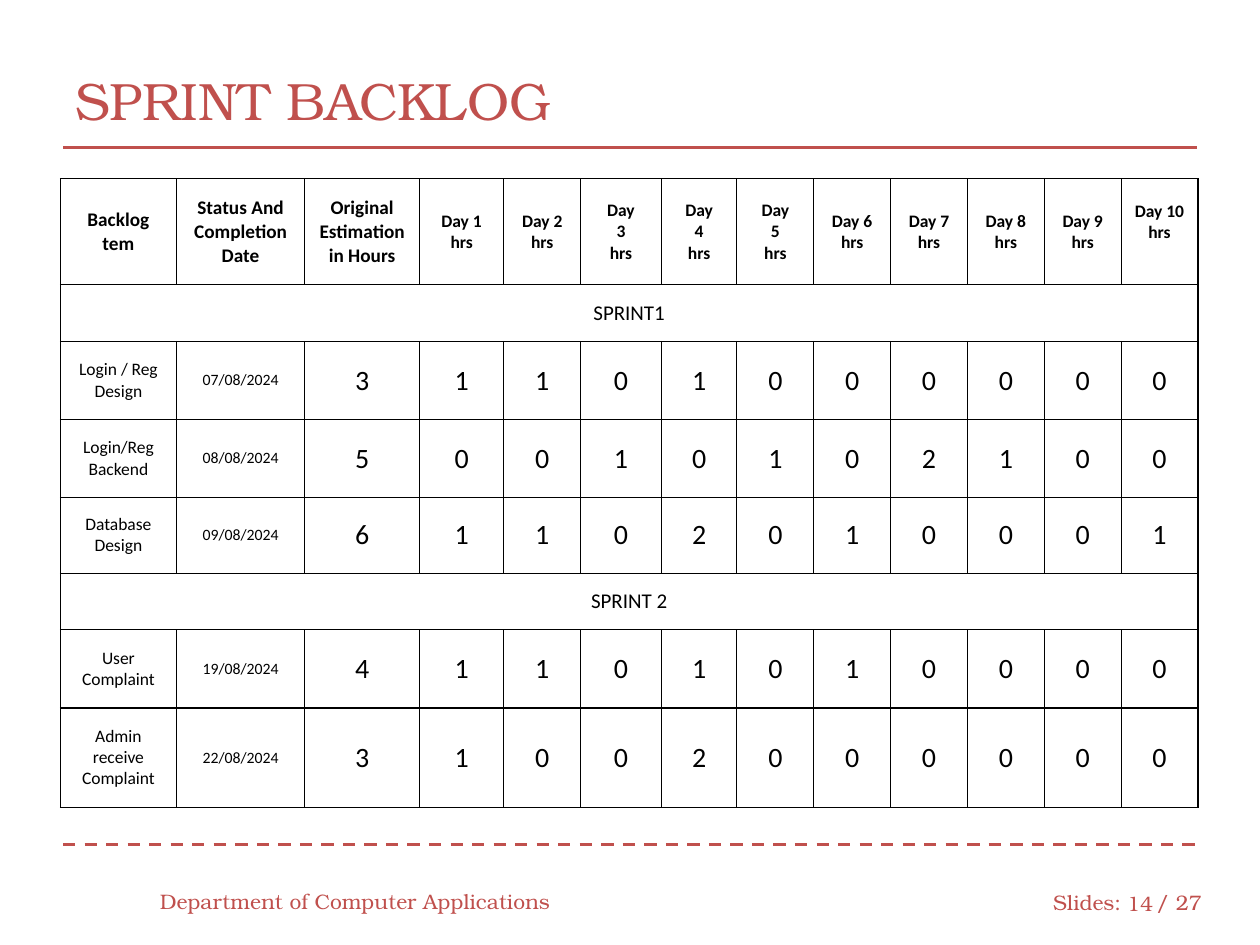
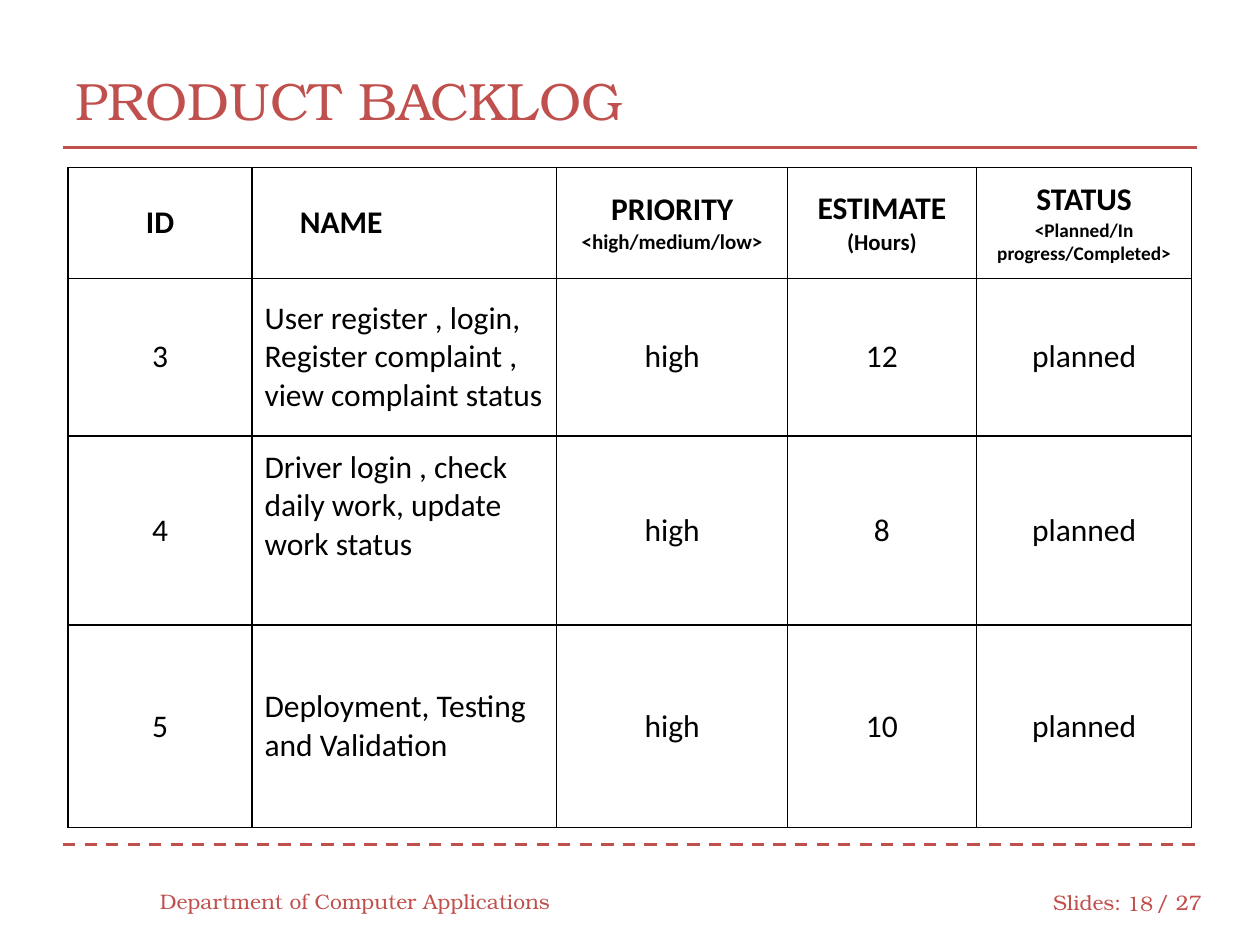
import pptx
import pptx.util
import pptx.dml.color
import pptx.enum.dml
import pptx.enum.shapes
import pptx.enum.text
import pptx.oxml
import pptx.oxml.ns
from pptx.util import Inches

COLORS = {"accent": "C0504D", "ink": "000000", "paper": "FFFFFF"}
SERIF = "TeX Gyre Bonum"
SANS = "Calibri"
ALIGN = pptx.enum.text.PP_ALIGN
ANCHOR = pptx.enum.text.MSO_ANCHOR
PAGES = 27

DAYS = [["Day 1", "hrs"], ["Day 2", "hrs"], ["Day", "3", "hrs"],
        ["Day", "4", "hrs"], ["Day", "5", "hrs"]]
DAYS += [[f"Day {day}", "hrs"] for day in range(6, 11)]
HEADS = ["Backlog tem", "Status And Completion Date", "Original Estimation in Hours"]
SPRINTS = [
    ("SPRINT1", [
        ("Login / Reg Design", "07/08/2024", 3, "1101000000"),
        ("Login/Reg\nBackend", "08/08/2024", 5, "0010102100"),
        ("Database Design", "09/08/2024", 6, "1102010001"),
    ]),
    ("SPRINT 2", [
        ("User\nComplaint", "19/08/2024", 4, "1101010000"),
        ("Admin\nreceive\nComplaint", "22/08/2024", 3, "1002000000"),
    ]),
]
FIELDS = [
    [("ID", 18)],
    [("NAME", 18)],
    [("PRIORITY", 18), ("<high/medium/low>", 12)],
    [("ESTIMATE", 18), ("(Hours)", 13)],
    [("STATUS", 18), ("<Planned/In progress/Completed>", 11)],
]
ITEMS = [
    ("3", "User register , login, Register complaint , view complaint status", "high", "12", "planned"),
    ("4", "Driver login , check daily work, update work status", "high", "8", "planned"),
    ("5", "Deployment, Testing and Validation", "high", "10", "planned"),
]


def color(name):
    return pptx.dml.color.RGBColor.from_string(COLORS[name])


def add_text(para, text, size, font, tint, bold=False):
    for index, line in enumerate(text.split("\n")):
        if index:
            para.add_line_break()
        run = para.add_run()
        run.text = line
        run.font.name = font
        run.font.size = pptx.util.Pt(size)
        run.font.bold = bold
        run.font.color.rgb = color(tint)


def add_label(slide, text, left, top, width, height, size=12, align=ALIGN.LEFT):
    box = slide.shapes.add_textbox(Inches(left), Inches(top), Inches(width), Inches(height))
    frame = box.text_frame
    frame.word_wrap = True
    frame.vertical_anchor = ANCHOR.MIDDLE
    frame.paragraphs[0].alignment = align
    add_text(frame.paragraphs[0], text, size, SERIF, "accent")


def add_rule(slide, top, dash=False):
    rule = slide.shapes.add_connector(
        pptx.enum.shapes.MSO_CONNECTOR.STRAIGHT,
        Inches(0.5), Inches(top), Inches(9.5), Inches(top))
    rule.line.color.rgb = color("accent")
    rule.line.width = pptx.util.Pt(1.75)
    if dash:
        rule.line.dash_style = pptx.enum.dml.MSO_LINE.DASH
    props = rule._element.spPr
    props.append(pptx.oxml.parse_xml(f"<a:effectLst {pptx.oxml.ns.nsdecls('a')}/>"))


def add_frame(deck, title, page):
    slide = deck.slides.add_slide(deck.slide_layouts[6])
    add_label(slide, "Slides:", 8.26, 6.96, 0.75, 0.4)
    add_label(slide, f"/ {PAGES}", 9.08, 6.96, 0.58, 0.4)
    add_rule(slide, 6.7, dash=True)
    add_rule(slide, 1.17)
    add_label(slide, title, 0.5, 0.33, 9, 0.92, size=30)
    add_label(slide, "Department of Computer Applications", 1.17, 6.95, 3.33, 0.4)
    add_label(slide, str(page), 8.83, 6.97, 0.42, 0.4, align=ALIGN.RIGHT)
    return slide


def add_border(cell):
    props = cell._tc.get_or_add_tcPr()
    for side in "LRTB":
        props.append(pptx.oxml.parse_xml(
            f"<a:ln{side} {pptx.oxml.ns.nsdecls('a')} w=\"9525\"><a:solidFill>"
            f"<a:srgbClr val=\"{COLORS['ink']}\"/></a:solidFill></a:ln{side}>"))


def add_grid(slide, left, top, widths, heights, inset):
    shape = slide.shapes.add_table(
        len(heights), len(widths), Inches(left), Inches(top),
        Inches(sum(widths)), Inches(sum(heights)))
    table = shape.table
    table.first_row = table.horz_banding = False
    for column, width in zip(table.columns, widths):
        column.width = Inches(width)
    for row, height in zip(table.rows, heights):
        row.height = Inches(height)
    for cell in table.iter_cells():
        add_border(cell)
        cell.fill.solid()
        cell.fill.fore_color.rgb = color("paper")
        cell.vertical_anchor = ANCHOR.MIDDLE
        cell.margin_left = cell.margin_right = Inches(0.1)
        cell.margin_top = cell.margin_bottom = Inches(inset)
    return table


def fill_cell(cell, lines, bold=False, align=ALIGN.CENTER):
    frame = cell.text_frame
    for index, (text, size) in enumerate(lines):
        para = frame.add_paragraph() if index else frame.paragraphs[0]
        para.alignment = align
        add_text(para, text, size, SANS, "ink", bold)


def draw_sprint(deck):
    slide = add_frame(deck, "SPRINT BACKLOG", 14)
    widths = [0.92, 1.02, 0.91, 0.67, 0.61, 0.64, 0.6] + [0.61] * 6
    heights = [0.84, 0.45, 0.62, 0.62, 0.6, 0.45, 0.62, 0.79]
    table = add_grid(slide, 0.48, 1.42, widths, heights, 0.09)
    heads = [[(head, 11)] for head in HEADS]
    heads += [[(line, 10) for line in day] for day in DAYS]
    for col, lines in enumerate(heads):
        fill_cell(table.cell(0, col), lines, bold=True)
    table.cell(0, 12).margin_bottom = Inches(0.25)
    row = 1
    for name, tasks in SPRINTS:
        band = table.cell(row, 0)
        band.merge(table.cell(row, len(widths) - 1))
        band.margin_top = band.margin_bottom = Inches(0.05)
        fill_cell(band, [(name, 12)])
        for row, (task, date, total, hours) in enumerate(tasks, row + 1):
            values = [(task, 10), (date, 9), (str(total), 16)]
            values += [(hour, 16) for hour in hours]
            for col, value in enumerate(values):
                fill_cell(table.cell(row, col), [value])
        row += 1


def draw_product(deck):
    slide = add_frame(deck, "PRODUCT BACKLOG", 18)
    widths = [1.46, 2.42, 1.83, 1.5, 1.71]
    table = add_grid(slide, 0.54, 1.33, widths, [0.88, 1.25, 1.5, 1.61], 0.1)
    for col, lines in enumerate(FIELDS):
        align = ALIGN.LEFT if col == 1 else ALIGN.CENTER
        fill_cell(table.cell(0, col), lines, bold=True, align=align)
    table.cell(0, 1).margin_left = Inches(0.38)
    for row, item in enumerate(ITEMS, 1):
        for col, text in enumerate(item):
            align = ALIGN.LEFT if col == 1 else ALIGN.CENTER
            fill_cell(table.cell(row, col), [(text, 18)], align=align)
    table.cell(2, 1).vertical_anchor = ANCHOR.TOP


def main():
    deck = pptx.Presentation()
    deck.slide_width = Inches(10)
    deck.slide_height = Inches(7.5)
    draw_sprint(deck)
    draw_product(deck)
    deck.save("out.pptx")


if __name__ == "__main__":
    main()
